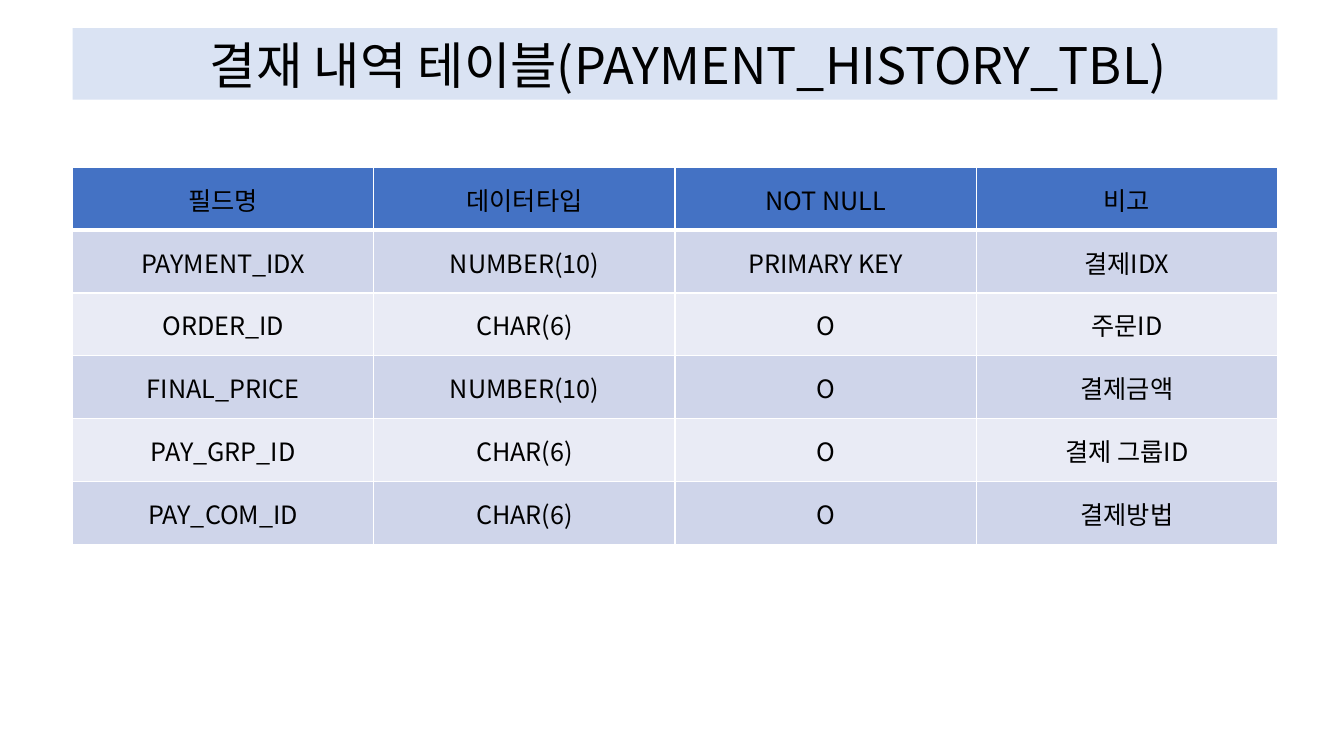
import pptx
import pptx.dml.color
import pptx.enum.text
import pptx.oxml
import pptx.oxml.ns
import pptx.util
from pptx.dml.color import RGBColor
from pptx.util import Inches

# Content
TITLE = "결재 내역 테이블(PAYMENT_HISTORY_TBL)"
ROWS = [
    ("필드명", "데이터타입", "NOT NULL", "비고"),
    ("PAYMENT_IDX", "NUMBER(10)", "PRIMARY KEY", "결제IDX"),
    ("ORDER_ID", "CHAR(6)", "O", "주문ID"),
    ("FINAL_PRICE", "NUMBER(10)", "O", "결제금액"),
    ("PAY_GRP_ID", "CHAR(6)", "O", "결제 그룹ID"),
    ("PAY_COM_ID", "CHAR(6)", "O", "결제방법"),
]

# Style
FONT = "Noto Sans CJK KR"
BLACK = RGBColor(0x00, 0x00, 0x00)
WHITE = RGBColor(0xFF, 0xFF, 0xFF)
TITLE_FILL = RGBColor(0xDA, 0xE3, 0xF3)
HEADER_FILL = RGBColor(0x44, 0x72, 0xC4)
BAND_FILLS = (RGBColor(0xE9, 0xEB, 0xF5), RGBColor(0xCF, 0xD5, 0xEA))

# Layout
LEFT, WIDTH = Inches(0.72), Inches(11.95)
TITLE_TOP, TITLE_HEIGHT = Inches(0.28), Inches(0.71)
TABLE_TOP, TABLE_HEIGHT = Inches(1.66), Inches(3.74)


def write_centred(text_frame, text, size):
    paragraph = text_frame.paragraphs[0]
    paragraph.alignment = pptx.enum.text.PP_ALIGN.CENTER
    run = paragraph.add_run()
    run.text = text
    run.font.name = FONT
    run.font.size = pptx.util.Pt(size)
    run.font.color.rgb = BLACK
    east_asian = pptx.oxml.parse_xml(
        f'<a:ea {pptx.oxml.ns.nsdecls("a")} typeface="{FONT}"/>')
    run.font._element.append(east_asian)


def set_borders(cell, widths):
    properties = cell._tc.get_or_add_tcPr()
    for position, (side, width) in enumerate(widths.items()):
        border = pptx.oxml.parse_xml(
            f'<a:ln{side} {pptx.oxml.ns.nsdecls("a")} w="{pptx.util.Pt(width)}">'
            f'<a:solidFill><a:srgbClr val="{WHITE}"/></a:solidFill></a:ln{side}>')
        properties.insert(position, border)


def add_title(slide):
    title = slide.shapes.title
    title.left, title.top, title.width, title.height = LEFT, TITLE_TOP, WIDTH, TITLE_HEIGHT
    title.fill.solid()
    title.fill.fore_color.rgb = TITLE_FILL
    frame = title.text_frame
    frame.word_wrap = True
    frame.auto_size = pptx.enum.text.MSO_AUTO_SIZE.NONE
    frame.vertical_anchor = pptx.enum.text.MSO_ANCHOR.MIDDLE
    frame.margin_left = Inches(0.36)
    frame.margin_right = Inches(0.1)
    frame.margin_top = frame.margin_bottom = Inches(0.05)
    write_centred(frame, TITLE, 36)


def add_field_table(slide):
    table = slide.shapes.add_table(
        len(ROWS), len(ROWS[0]), LEFT, TABLE_TOP, WIDTH, TABLE_HEIGHT).table
    for row_index, row in enumerate(ROWS):
        for column_index, text in enumerate(row):
            cell = table.cell(row_index, column_index)
            cell.vertical_anchor = pptx.enum.text.MSO_ANCHOR.MIDDLE
            cell.margin_left = cell.margin_right = cell.margin_top = Inches(0.01)
            cell.margin_bottom = 0
            cell.fill.solid()
            cell.fill.fore_color.rgb = BAND_FILLS[row_index % 2] if row_index else HEADER_FILL
            # A thick rule separates the header from the fields
            set_borders(cell, {"L": 1, "R": 1,
                               "T": 3 if row_index == 1 else 1,
                               "B": 3 if row_index == 0 else 1})
            write_centred(cell.text_frame, text, 18)


def main():
    presentation = pptx.Presentation()
    presentation.slide_width = Inches(13.33)
    presentation.slide_height = Inches(7.5)
    slide = presentation.slides.add_slide(presentation.slide_layouts[5])
    add_title(slide)
    add_field_table(slide)
    presentation.save("out.pptx")


if __name__ == "__main__":
    main()
